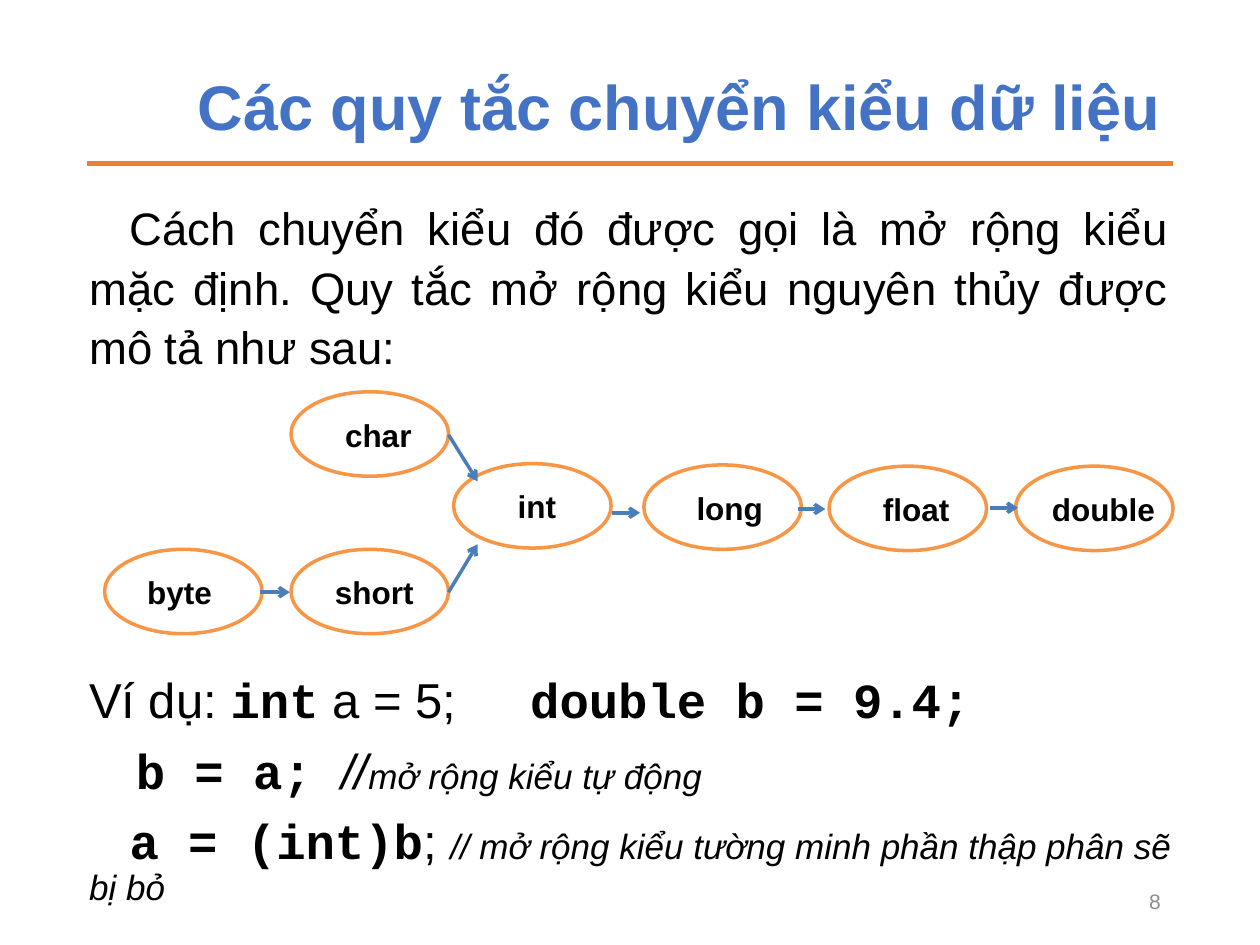
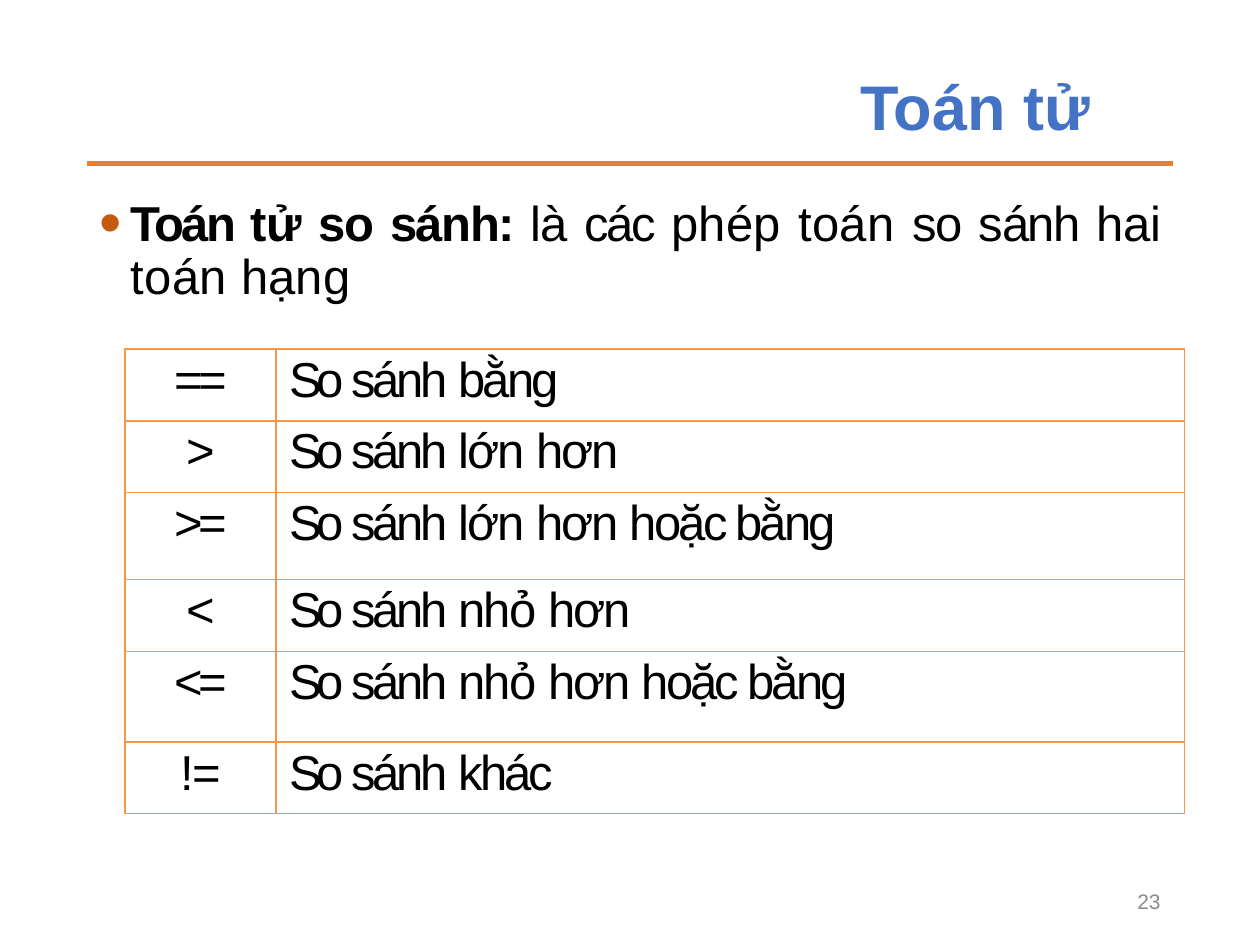
from dataclasses import dataclass

from lxml import etree
from pptx import Presentation
from pptx.dml.color import RGBColor
from pptx.enum.shapes import MSO_CONNECTOR, MSO_SHAPE
from pptx.enum.text import MSO_ANCHOR, PP_ALIGN
from pptx.oxml.ns import qn
from pptx.util import Inches, Pt

STRAIGHT = MSO_CONNECTOR.STRAIGHT
OVAL = MSO_SHAPE.OVAL
TOP, MIDDLE = MSO_ANCHOR.TOP, MSO_ANCHOR.MIDDLE
LEFT, CENTER = PP_ALIGN.LEFT, PP_ALIGN.CENTER
RIGHT, JUSTIFY = PP_ALIGN.RIGHT, PP_ALIGN.JUSTIFY
BLANK_LAYOUT = 6
COLUMNS, ROWS = 100, 75  # square grid cells, a tenth of an inch each


@dataclass(frozen=True)
class Theme:
    """Colours, fonts and type sizes of the deck."""
    title: str = "4472C4"
    rule: str = "ED7D31"
    ink: str = "000000"
    number: str = "8C8C8C"
    outline: str = "F79646"
    arrow: str = "4A7EBB"
    bullet: str = "C55A11"
    sans: str = "Arial"
    mono: str = "Courier New"
    title_size: int = 36
    body_size: int = 28
    intro_size: int = 26
    note_size: int = 20
    label_size: int = 18
    number_size: int = 12


@dataclass(frozen=True)
class Box:
    """A region in grid cells."""
    left: float
    top: float
    width: float
    height: float

    def inner(self, left, top, width, height):
        """Return a box placed relative to this one."""
        return Box(self.left + left, self.top + top, width, height)

    def lengths(self):
        """Return left, top, width and height as lengths."""
        return [cells(n) for n in (self.left, self.top, self.width, self.height)]


THEME = Theme()
TITLE = Box(6.9, 5.3, 86.2, 6.8)
RULE = Box(6.9, 13, 86.2, 0)
NUMBER = Box(70.6, 69.5, 22.5, 4)
NODE_WIDTH, NODE_HEIGHT = 12.5, 6.7

# name, left and top of the oval, indent of its label
NODES = [
    ("char", 14.8, 0, 3.3), ("short", 14.8, 12.5, 2.5), ("byte", 0, 12.5, 2.4),
    ("int", 27.7, 5.7, 4.1), ("long", 42.8, 5.8, 3.2),
    ("float", 57.5, 5.9, 3.3), ("double", 72.3, 5.9, 1.9),
]
ARROWS = [
    (12.3, 15.9, 14.7, 15.9), (27.3, 15.9, 29.6, 12.1), (27.3, 3.4, 29.6, 7.1),
    (40.3, 9.6, 42.5, 9.6), (55, 9.3, 57.2, 9.3), (70.3, 9.2, 72.5, 9.2),
]

# operator, its tracking, meaning, row height
OPERATORS = [
    ("==", -2.5, "So sánh bằng", 5.7),
    (">", 0, "So sánh lớn hơn", 5.7),
    (">=", -2.5, "So sánh lớn hơn hoặc bằng", 6.9),
    ("<", 0, "So sánh nhỏ hơn", 5.7),
    ("<=", -2.5, "So sánh nhỏ hơn hoặc bằng", 7.2),
    ("!=", -0.6, "So sánh khác", 5.7),
]
WORD_TRACKING = {"So": -3.4, "sánh": -1.8, "lớn": -1, "nhỏ": -0.9, "hơn": -1.4}
OTHER_TRACKING = -1.6


def cells(count):
    """Convert grid cells to a length."""
    return Inches(count / 10)


def color(value):
    """Convert a hex string to a colour."""
    return RGBColor.from_string(value)


def add_run(paragraph, text, size=THEME.body_size, font=THEME.sans,
            fill=THEME.ink, bold=False, italic=False, tracking=0):
    """Append one formatted run."""
    run = paragraph.add_run()
    run.text = text
    run.font.name, run.font.size = font, Pt(size)
    run.font.bold, run.font.italic = bold, italic
    run.font.color.rgb = color(fill)
    if tracking:
        run._r.get_or_add_rPr().set("spc", str(round(tracking * 100)))


def add_frame(slide, box, anchor=TOP):
    """Add a wrapping text box and return its frame."""
    frame = slide.shapes.add_textbox(*box.lengths()).text_frame
    frame.word_wrap = True
    frame.vertical_anchor = anchor
    return frame


def format_paragraph(paragraph, align=LEFT, spacing=0.9, before=10,
                     margin=0.0, indent=0.0):
    """Set alignment, spacing and indents; return the paragraph."""
    paragraph.alignment = align
    paragraph.line_spacing = spacing
    paragraph.space_before = Pt(before)
    properties = paragraph._p.get_or_add_pPr()
    properties.set("marL", str(cells(margin)))
    properties.set("indent", str(cells(indent)))
    return paragraph


def add_bullet(paragraph):
    """Give a paragraph a large coloured bullet."""
    properties = paragraph._p.get_or_add_pPr()
    fill = etree.SubElement(properties, qn("a:buClr"))
    etree.SubElement(fill, qn("a:srgbClr"), val=THEME.bullet)
    etree.SubElement(properties, qn("a:buSzPct"), val="130000")
    etree.SubElement(properties, qn("a:buFont"), typeface=THEME.sans)
    etree.SubElement(properties, qn("a:buChar"), char="•")


def add_line(slide, start, end, fill, width, arrow=False):
    """Draw a straight line, with an open arrowhead if asked."""
    points = [cells(n) for n in (*start, *end)]
    connector = slide.shapes.add_connector(STRAIGHT, *points)
    connector.line.color.rgb = color(fill)
    connector.line.width = Pt(width)
    if arrow:
        etree.SubElement(connector.line._get_or_add_ln(), qn("a:tailEnd"), type="arrow")
    etree.SubElement(connector._element.spPr, qn("a:effectLst"))


def add_base_slide(presentation, title, number, title_inset=1.0):
    """Add a slide with the shared title, rule and number."""
    slide = presentation.slides.add_slide(presentation.slide_layouts[BLANK_LAYOUT])
    add_line(slide, (RULE.left, RULE.top), (RULE.left + RULE.width, RULE.top),
             THEME.rule, 2.75)
    frame = add_frame(slide, TITLE, MIDDLE)
    frame.margin_right = cells(title_inset)
    paragraph = format_paragraph(frame.paragraphs[0], RIGHT, before=0)
    add_run(paragraph, title, THEME.title_size, fill=THEME.title, bold=True)
    paragraph = add_frame(slide, NUMBER, MIDDLE).paragraphs[0]
    paragraph.alignment = RIGHT
    add_run(paragraph, number, THEME.number_size, fill=THEME.number)
    return slide


def add_intro(slide, box):
    """Write the paragraph that introduces the widening rules."""
    paragraph = format_paragraph(add_frame(slide, box).paragraphs[0], JUSTIFY,
                                 Pt(34), before=3, indent=3.2)
    add_run(paragraph, "Cách chuyển kiểu đó được gọi là mở rộng kiểu mặc định. "
            "Quy tắc mở rộng kiểu nguyên thủy được mô tả như sau:", THEME.intro_size)


def add_type_diagram(slide, box):
    """Draw the types as ovals joined by arrows."""
    for name, left, top, label_indent in NODES:
        node = box.inner(left, top, NODE_WIDTH, NODE_HEIGHT)
        oval = slide.shapes.add_shape(OVAL, *node.lengths())
        oval.shadow.inherit = False
        oval.fill.background()
        oval.line.color.rgb = color(THEME.outline)
        oval.line.width = Pt(2)
        label = add_frame(slide, node.inner(label_indent, 1.4, 11.3, 4))
        add_run(label.paragraphs[0], name, THEME.label_size, bold=True)
    for x1, y1, x2, y2 in ARROWS:
        add_line(slide, (box.left + x1, box.top + y1),
                 (box.left + x2, box.top + y2), THEME.arrow, 2, arrow=True)


def add_code_example(slide, box):
    """Write the code lines with their comments."""
    code = {"font": THEME.mono, "bold": True}
    note = {"size": THEME.note_size, "italic": True}
    lines = [
        (0, [("Ví dụ: ", {}), ("int", code), (" a = 5; \t", {}),
             ("double b = 9.4;", code)]),
        (3.7, [("b = a;\t", code), ("//", {"italic": True}),
               ("mở rộng kiểu tự động", note)]),
        (3.2, [("a = (int)b", code), ("; ", {}),
               ("// mở rộng kiểu tường minh phần thập phân sẽ bị bỏ", note)]),
    ]
    frame = add_frame(slide, box)
    frame.margin_right = 0
    for index, (indent, runs) in enumerate(lines):
        paragraph = frame.add_paragraph() if index else frame.paragraphs[0]
        format_paragraph(paragraph, indent=indent)
        for text, style in runs:
            add_run(paragraph, text, **style)


def add_definition(slide, box):
    """Write the bulleted definition of comparison operators."""
    paragraph = format_paragraph(add_frame(slide, box).paragraphs[0], JUSTIFY,
                                 margin=2.5, indent=-2.5)
    add_bullet(paragraph)
    for text, tracking in [("Toán ", -1.5), ("tử ", -0.3), ("so ", -0.7),
                           ("sánh: ", -0.8)]:
        add_run(paragraph, text, bold=True, tracking=tracking)
    for text, tracking in [("là ", -0.5), ("các ", -1.2), ("phép toán ", 0.2),
                           ("so ", -0.7), ("sánh ", -0.8), ("hai ", -0.2),
                           ("toán ", 0.2), ("hạng", 0)]:
        add_run(paragraph, text, tracking=tracking)


def outline_cell(cell):
    """Clear a cell's fill and draw its four borders."""
    cell.fill.background()
    properties = cell._tc.get_or_add_tcPr()
    for index, side in enumerate(("a:lnL", "a:lnR", "a:lnT", "a:lnB")):
        border = etree.Element(qn(side), w=str(Pt(1)))
        fill = etree.SubElement(border, qn("a:solidFill"))
        etree.SubElement(fill, qn("a:srgbClr"), val=THEME.outline)
        properties.insert(index, border)


def add_operator_table(slide, box, first_column=12):
    """Add the table of operators and their meanings."""
    table = slide.shapes.add_table(len(OPERATORS), 2, *box.lengths()).table
    table.first_row = table.horz_banding = False
    table.columns[0].width = cells(first_column)
    table.columns[1].width = cells(box.width - first_column)
    for row, (operator, tracking, meaning, height) in enumerate(OPERATORS):
        table.rows[row].height = cells(height)
        words = meaning.split()
        meaning_runs = [
            (word if word == words[-1] else word + " ",
             WORD_TRACKING.get(word, OTHER_TRACKING)) for word in words]
        contents = [([(operator, tracking)], CENTER, 0.1), (meaning_runs, LEFT, 1.1)]
        for column, (runs, align, margin) in enumerate(contents):
            cell = table.cell(row, column)
            outline_cell(cell)
            cell.margin_left = cell.margin_right = cell.margin_bottom = 0
            cell.margin_top = cells(0.3)
            paragraph = format_paragraph(cell.text_frame.paragraphs[0], align,
                                         1.0, before=2.1, margin=margin)
            for text, run_tracking in runs:
                add_run(paragraph, text, tracking=run_tracking)


def build_conversion_slide(presentation):
    """Build the slide on type conversion."""
    slide = add_base_slide(presentation, "Các quy tắc chuyển kiểu dữ liệu", "8")
    add_intro(slide, Box(6.1, 15, 87.7, 15.5))
    add_type_diagram(slide, Box(8.3, 31.1, 84.8, 19.2))
    add_code_example(slide, Box(6.1, 53.2, 87.7, 18.2))


def build_operator_slide(presentation):
    """Build the slide on comparison operators."""
    slide = add_base_slide(presentation, "Toán tử", "23", title_inset=6.6)
    add_definition(slide, Box(6.9, 15.3, 86.2, 10))
    add_operator_table(slide, Box(9.9, 27.7, 84.1, 36.9))


presentation = Presentation()
presentation.slide_width, presentation.slide_height = cells(COLUMNS), cells(ROWS)
build_conversion_slide(presentation)
build_operator_slide(presentation)
presentation.save("out.pptx")
